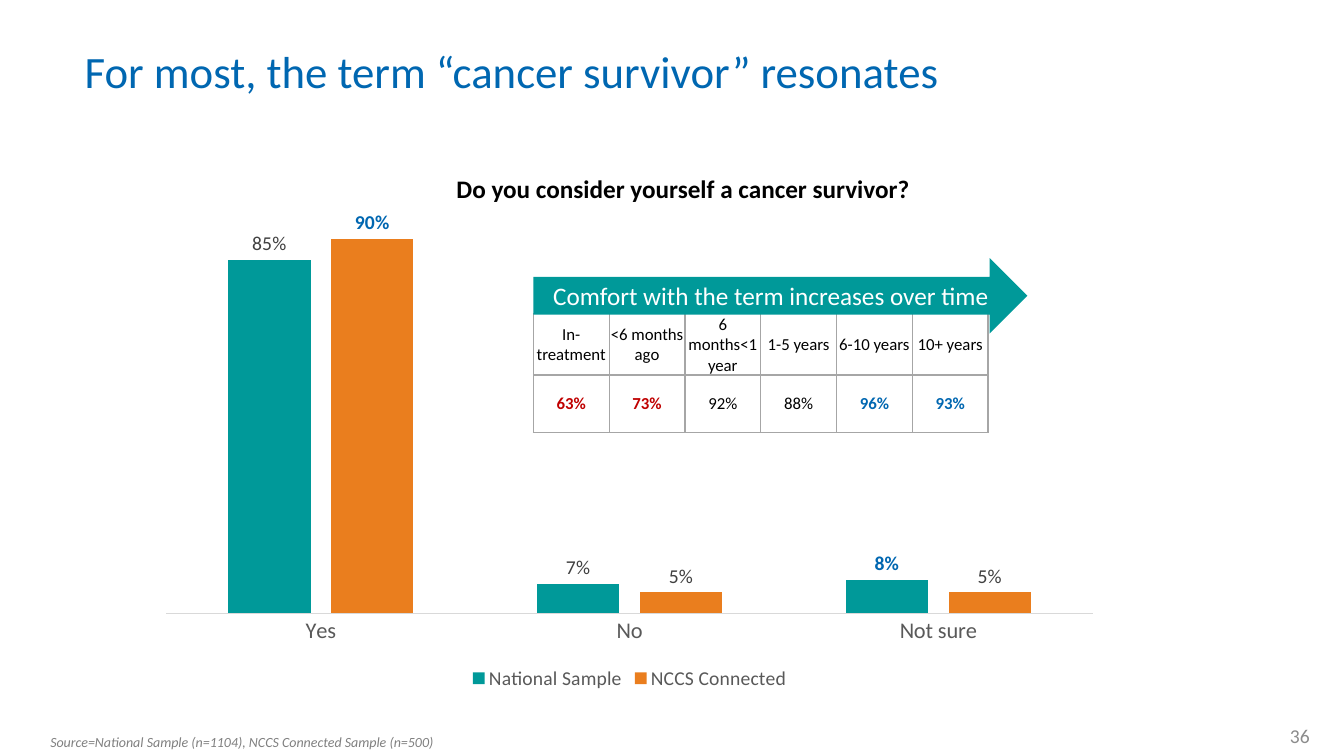
"""Build the slide on how many respondents call themselves a cancer survivor."""
from typing import NamedTuple

from lxml import etree
from pptx import Presentation
from pptx.chart.data import CategoryChartData
from pptx.dml.color import RGBColor
from pptx.enum.chart import XL_CHART_TYPE, XL_LABEL_POSITION, XL_LEGEND_POSITION, XL_TICK_MARK
from pptx.enum.shapes import MSO_SHAPE
from pptx.enum.text import MSO_ANCHOR, PP_ALIGN
from pptx.oxml import parse_xml
from pptx.oxml.ns import nsdecls, qn
from pptx.slide import Slide
from pptx.text.text import Font, TextFrame
from pptx.util import Inches, Pt

COLUMNS = XL_CHART_TYPE.COLUMN_CLUSTERED
OUTSIDE_END = XL_LABEL_POSITION.OUTSIDE_END
LEGEND_BOTTOM = XL_LEGEND_POSITION.BOTTOM
NO_TICK = XL_TICK_MARK.NONE
RIGHT_ARROW = MSO_SHAPE.RIGHT_ARROW
TOP, MIDDLE = MSO_ANCHOR.TOP, MSO_ANCHOR.MIDDLE
LEFT, CENTER, RIGHT = PP_ALIGN.LEFT, PP_ALIGN.CENTER, PP_ALIGN.RIGHT

BLUE = RGBColor(0x00, 0x67, 0xB1)
TEAL = RGBColor(0x00, 0x99, 0x99)
ORANGE = RGBColor(0xEA, 0x7E, 0x1E)
RED = RGBColor(0xC0, 0x00, 0x00)
BLACK = RGBColor(0x00, 0x00, 0x00)
WHITE = RGBColor(0xFF, 0xFF, 0xFF)
LABEL_GREY = RGBColor(0x40, 0x40, 0x40)
AXIS_GREY = RGBColor(0x59, 0x59, 0x59)
SOURCE_GREY = RGBColor(0x80, 0x80, 0x80)
NUMBER_GREY = RGBColor(0x8C, 0x8C, 0x8C)
BORDER_GREY = RGBColor(0xA6, 0xA6, 0xA6)
LINE_GREY = RGBColor(0xD9, 0xD9, 0xD9)


class Box(NamedTuple):
    left: float
    top: float
    width: float
    height: float

    def lengths(self) -> list[int]:
        return [Inches(value) for value in self]


class Style(NamedTuple):
    size: float
    color: RGBColor
    bold: bool = False
    italic: bool = False


class Caption(NamedTuple):
    text: str
    box: Box
    style: Style
    align: PP_ALIGN = LEFT
    anchor: MSO_ANCHOR = TOP
    line_spacing: float = 1.0


class Sample(NamedTuple):
    name: str
    shares: tuple[float, ...]
    color: RGBColor
    highlighted: int


class Stage(NamedTuple):
    period: str
    share: str
    color: RGBColor = BLACK


CAPTIONS = (
    Caption("For most, the term “cancer survivor” resonates", Box(0.74, 0.2, 10.45, 1.06),
            Style(32, BLUE), anchor=MIDDLE, line_spacing=0.9),
    Caption("Do you consider yourself a cancer survivor?", Box(4.03, 1.67, 5.49, 0.4),
            Style(18, BLACK, bold=True), CENTER),
    Caption("Source=National Sample (n=1104), NCCS Connected Sample (n=500)",
            Box(0.4, 7.23, 5.09, 0.27), Style(10, SOURCE_GREY, italic=True)),
    Caption("36", Box(12.11, 7.1, 0.98, 0.4), Style(14, NUMBER_GREY), RIGHT, MIDDLE),
)
ANSWERS = ("Yes", "No", "Not sure")
SAMPLES = (
    Sample("National Sample", (0.85, 0.07, 0.08), TEAL, 2),
    Sample("NCCS Connected", (0.9, 0.05, 0.05), ORANGE, 0),
)
STAGES = (
    Stage("In-treatment", "63%", RED),
    Stage("<6 months ago", "73%", RED),
    Stage("6 months<1 year", "92%"),
    Stage("1-5 years", "88%"),
    Stage("6-10 years", "96%", BLUE),
    Stage("10+ years", "93%", BLUE),
)


def apply_style(font: Font, style: Style) -> None:
    font.name = "Calibri"
    font.size = Pt(style.size)
    font.bold = style.bold
    font.italic = style.italic
    font.color.rgb = style.color


def write(frame: TextFrame, text: str, style: Style, align: PP_ALIGN) -> None:
    frame.word_wrap = True
    frame.text = text
    paragraph = frame.paragraphs[0]
    paragraph.alignment = align
    apply_style(paragraph.runs[0].font, style)


def add_caption(slide: Slide, caption: Caption) -> None:
    frame = slide.shapes.add_textbox(*caption.box.lengths()).text_frame
    write(frame, caption.text, caption.style, caption.align)
    frame.vertical_anchor = caption.anchor
    frame.paragraphs[0].line_spacing = caption.line_spacing


def add_answer_chart(slide: Slide, box: Box, plot_area: Box) -> None:
    answers = CategoryChartData(number_format="0%")
    answers.categories = ANSWERS
    for sample in SAMPLES:
        answers.add_series(sample.name, sample.shares)
    chart = slide.shapes.add_chart(COLUMNS, *box.lengths(), answers).chart
    apply_style(chart.font, Style(10, BLACK))
    chart.has_title = False
    chart.has_legend = True
    chart.legend.position = LEGEND_BOTTOM
    chart.legend.include_in_layout = False
    apply_style(chart.legend.font, Style(14, AXIS_GREY))

    share_axis, answer_axis = chart.value_axis, chart.category_axis
    share_axis.minimum_scale, share_axis.maximum_scale = 0, 1
    share_axis.has_major_gridlines = False
    share_axis.visible = False
    answer_axis.major_tick_mark = NO_TICK
    answer_axis.format.line.color.rgb = LINE_GREY
    answer_axis.format.line.width = Pt(0.75)
    apply_style(answer_axis.tick_labels.font, Style(16, AXIS_GREY))

    plot = chart.plots[0]
    plot.gap_width, plot.overlap, plot.vary_by_categories = 150, -25, False
    for sample, series in zip(SAMPLES, plot.series):
        series.format.fill.solid()
        series.format.fill.fore_color.rgb = sample.color
        labels = series.data_labels
        labels.show_value = True
        labels.number_format, labels.number_format_is_linked = "0%", False
        labels.position = OUTSIDE_END
        apply_style(labels.font, Style(14, LABEL_GREY))
        highlight = series.points[sample.highlighted].data_label
        apply_style(highlight.font, Style(14, BLUE, bold=True))
        highlight.position = OUTSIDE_END

    area = chart.element.find(f".//{qn('c:plotArea')}")
    for layout in area.findall(qn("c:layout")):
        area.remove(layout)
    layout = parse_xml(f"<c:layout {nsdecls('c')}><c:manualLayout/></c:layout>")
    settings = {"layoutTarget": "inner", "xMode": "edge", "yMode": "edge",
                **dict(zip("xywh", plot_area))}
    for name, value in settings.items():
        etree.SubElement(layout[0], qn(f"c:{name}"), val=str(value))
    area.insert(0, layout)


def add_stage_table(slide: Slide, box: Box) -> None:
    table = slide.shapes.add_table(2, len(STAGES), *box.lengths()).table
    table.first_row = table.horz_banding = False
    for row in table.rows:
        row.height = Inches(0.57)
    for column, stage in enumerate(STAGES):
        contents = ((stage.period, Style(12, BLACK)),
                    (stage.share, Style(12, stage.color, bold=stage.color != BLACK)))
        for row, (text, style) in enumerate(contents):
            cell = table.cell(row, column)
            cell.margin_left = cell.margin_top = cell.margin_right = Inches(0.01)
            cell.margin_bottom = 0
            cell.vertical_anchor = MIDDLE
            write(cell.text_frame, text, style, CENTER)
            properties = cell._tc.get_or_add_tcPr()
            for side in ("lnL", "lnR", "lnT", "lnB"):
                properties.append(parse_xml(
                    f'<a:{side} {nsdecls("a")} w="{Pt(1)}"><a:solidFill>'
                    f'<a:srgbClr val="{BORDER_GREY}"/></a:solidFill></a:{side}>'))
            cell.fill.background()


def add_comfort_arrow(slide: Slide, box: Box) -> None:
    arrow = slide.shapes.add_shape(RIGHT_ARROW, *box.lengths())
    arrow.shadow.inherit = False
    arrow.fill.solid()
    arrow.fill.fore_color.rgb = TEAL
    arrow.line.fill.background()
    arrow.text_frame.vertical_anchor = MIDDLE
    write(arrow.text_frame, "Comfort with the term increases over time", Style(18, WHITE), CENTER)


def main() -> None:
    deck = Presentation()
    deck.slide_width, deck.slide_height = Inches(13.33), Inches(7.5)
    slide = deck.slides.add_slide(deck.slide_layouts[6])
    add_answer_chart(slide, Box(1.46, 1.86, 9.57, 5.03), Box(0.02, 0.02, 0.96, 0.82))
    for caption in CAPTIONS:
        add_caption(slide, caption)
    add_stage_table(slide, Box(5.29, 3.11, 4.51, 1.14))
    add_comfort_arrow(slide, Box(5.29, 2.56, 4.9, 0.75))
    deck.save("out.pptx")


if __name__ == "__main__":
    main()
